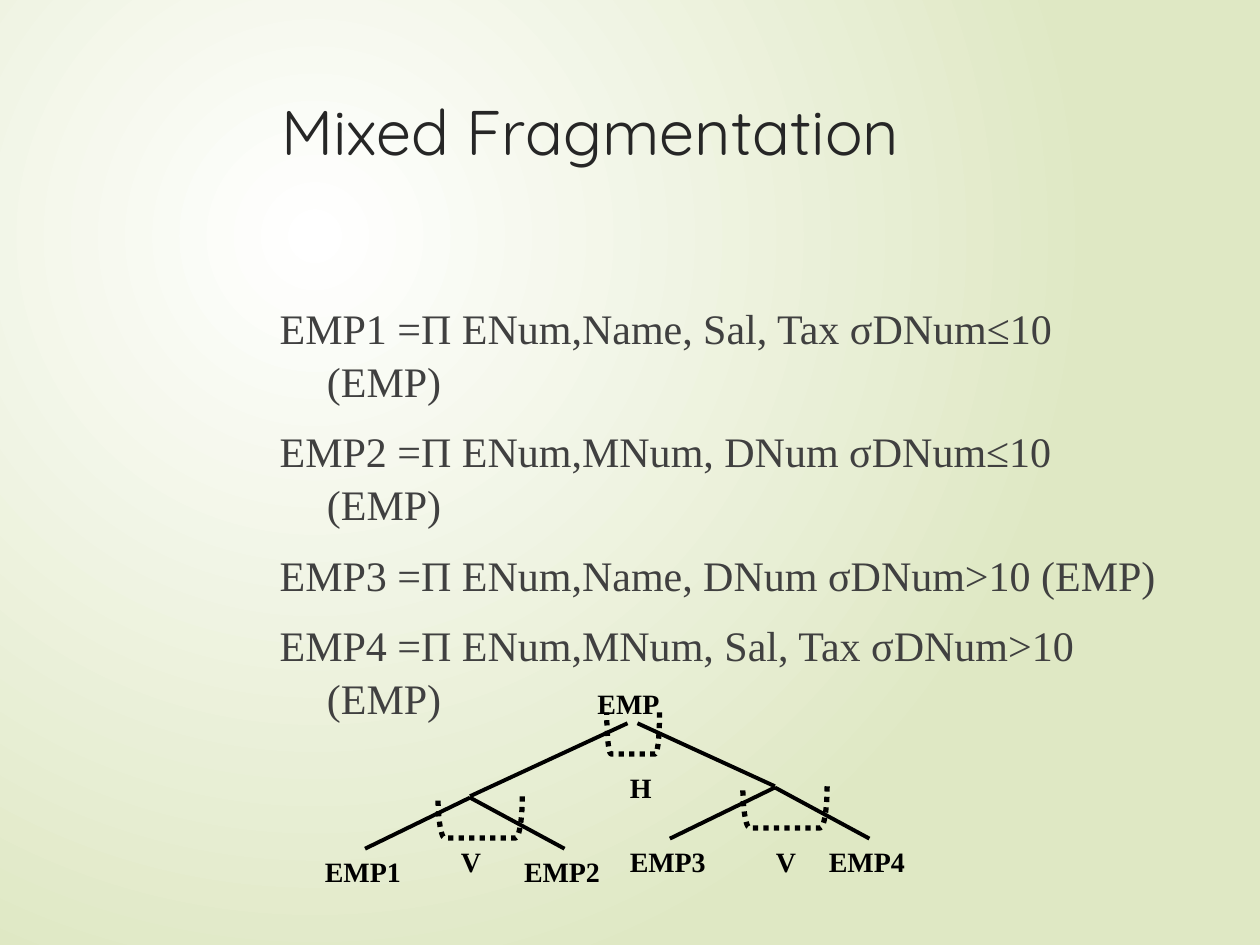
from lxml.etree import SubElement
from pptx import Presentation
from pptx.dml.color import RGBColor
from pptx.enum.dml import MSO_LINE
from pptx.enum.shapes import MSO_CONNECTOR, MSO_SHAPE
from pptx.enum.text import MSO_ANCHOR, MSO_AUTO_SIZE, PP_ALIGN
from pptx.oxml.ns import qn
from pptx.util import Pt

SERIF = "Times New Roman"


def color(code):
    return RGBColor.from_string(code)


def write(frame, lines, font=SERIF, size=16, ink="000000", bold=False,
          left=0, first=0, before=0, gap=1, fit=MSO_AUTO_SIZE.NONE):
    frame.word_wrap = True
    frame.auto_size = fit
    frame.vertical_anchor = MSO_ANCHOR.TOP
    for i, line in enumerate(lines):
        para = frame.add_paragraph() if i else frame.paragraphs[0]
        para.alignment = PP_ALIGN.LEFT
        para.space_before = Pt(before)
        para.line_spacing = gap
        run = para.add_run()
        run.text = line
        run.font.name = font
        run.font.size = Pt(size)
        run.font.bold = bold
        run.font.color.rgb = color(ink)
        props = para._p.get_or_add_pPr()
        props.set("marL", str(Pt(left)))
        props.set("indent", str(Pt(first)))
        SubElement(props, qn("a:buNone"))


class Page:
    ink = "000000"

    def __init__(self, deck):
        self.slide = deck.slides.add_slide(deck.slide_layouts[1])

    def back(self, inner, outer):
        fill = self.slide.background.fill
        fill.gradient()
        for stop, code in zip(fill.gradient_stops, (inner, outer)):
            stop.color.rgb = color(code)
        grad = self.slide._element.find(".//" + qn("a:gradFill"))
        grad.remove(grad.find(qn("a:lin")))
        ring = SubElement(grad, qn("a:path"), {"path": "circle"})
        SubElement(ring, qn("a:fillToRect"),
                   {"l": "50000", "t": "50000", "r": "100000", "b": "100000"})

    def hold(self, index, box, lines, **style):
        shape = self.slide.placeholders[index]
        shape.left, shape.top, shape.width, shape.height = map(Pt, box)
        write(shape.text_frame, lines, **style)

    def label(self, text, x, y, wide=59.8, **style):
        box = self.slide.shapes.add_textbox(Pt(x), Pt(y), Pt(wide), Pt(26.6))
        write(box.text_frame, [text], bold=True, ink=self.ink,
              fit=MSO_AUTO_SIZE.SHAPE_TO_FIT_TEXT, **style)

    def line(self, *ends):
        link = self.slide.shapes.add_connector(
            MSO_CONNECTOR.STRAIGHT, *map(Pt, ends))
        link.line.color.rgb = color(self.ink)
        link.line.width = Pt(2.25)
        SubElement(link._element.spPr, qn("a:effectLst"))

    def brace(self, x, y, span, bend):
        deep = 23.8
        shape = self.slide.shapes.add_shape(
            MSO_SHAPE.LEFT_BRACKET, Pt(x - deep / 2), Pt(y - span / 2),
            Pt(deep), Pt(span))
        shape.rotation = 270
        shape.adjustments[0] = bend
        shape.shadow.inherit = False
        shape.fill.background()
        shape.line.color.rgb = color(self.ink)
        shape.line.width = Pt(3)
        shape.line.dash_style = MSO_LINE.ROUND_DOT

    def branch(self, x, y, names, mark):
        drop = 29.2
        for name, end, shift in zip(names, (-60, 54), (-90, 23.8)):
            self.line(x, y, x + end, y + drop)
            self.label(name, x + shift, y + drop)
        self.brace(x + 5.8, y + 11.2, 48.2, 0.167)
        self.label("V", mark, 478.8, 23.8)


deck = Presentation()
deck.slide_width, deck.slide_height = Pt(720), Pt(540)
page = Page(deck)
page.back("FFFFFF", "DFE8C4")
page.hold(0, (153.4, 49, 519, 100.8), ["Mixed Fragmentation"],
          font="Quicksand", size=36, ink="262626")
rules = [
    "EMP1 =Π ENum,Name, Sal, Tax σDNum≤10 (EMP)",
    "EMP2 =Π ENum,MNum, DNum σDNum≤10 (EMP)",
    "EMP3 =Π ENum,Name, DNum σDNum>10 (EMP)",
    "EMP4 =Π ENum,MNum, Sal, Tax σDNum>10 (EMP)",
]
page.hold(1, (152.6, 167.8, 519, 297.4), rules, size=24, ink="404040",
          left=27, first=-27, before=10, gap=1.05)

page.label("EMP", 310.3, 388.8, 113.8, left=24)
page.label("H", 352.8, 437, 36)
page.line(358.6, 413.3, 268.6, 455)
page.line(364.3, 413.3, 442.8, 449.3)
page.brace(361.8, 419, 30.2, 0.104)
page.branch(268.6, 455.8, ("EMP1", "EMP2"), 256.3)
page.branch(442.8, 450, ("EMP3", "EMP4"), 436.3)
deck.save("out.pptx")
